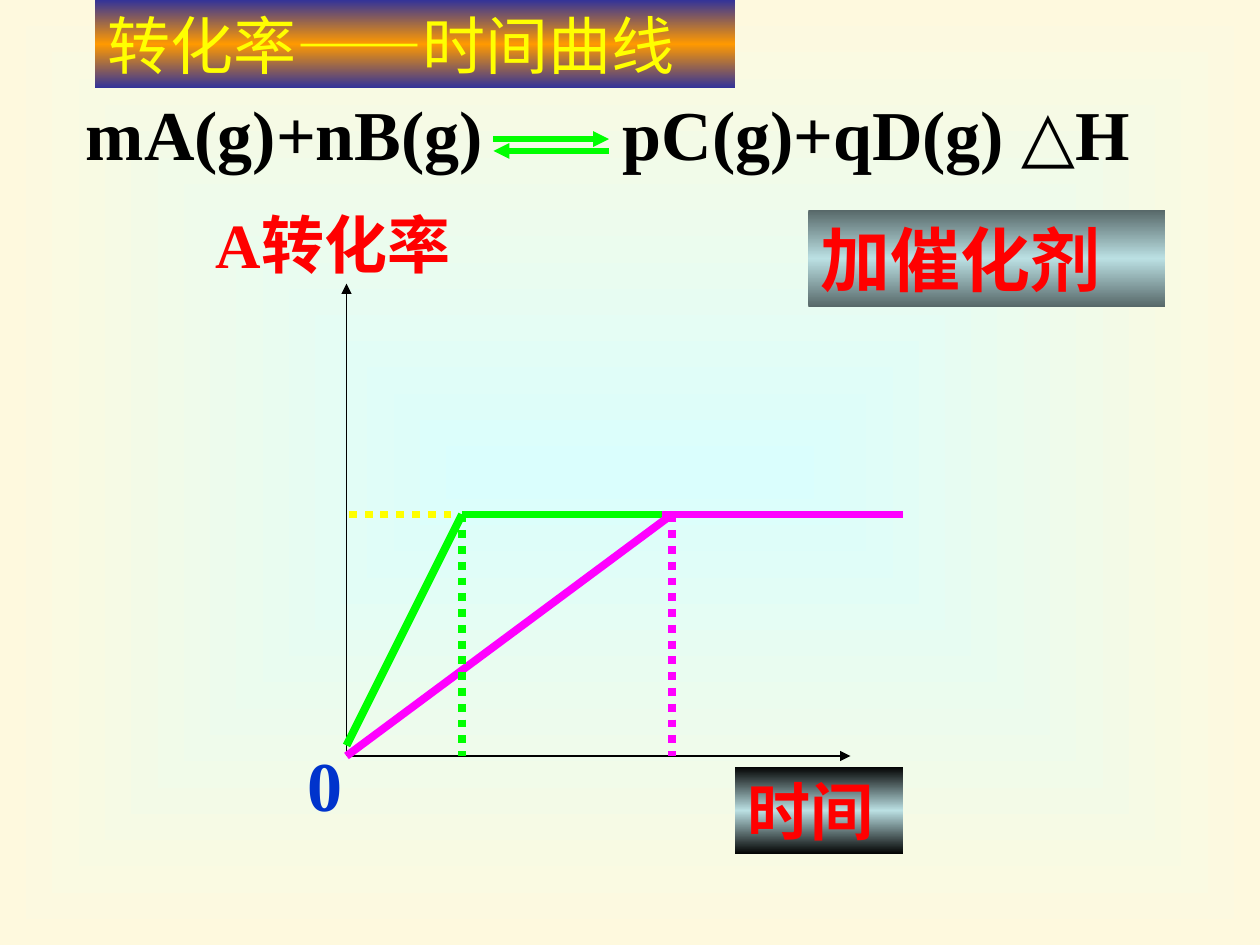
from lxml import etree
from pptx import Presentation
from pptx import util as u
from pptx.dml.color import RGBColor
from pptx.enum import dml, shapes, text
from pptx.oxml.ns import qn

PX = 9525  # EMU in one px, 96 px to the inch
FONT = "Times New Roman"
GREEN, MAGENTA, YELLOW, RED = "00FF00", "FF00FF", "FFFF00", "FF0000"

# Key places of the graph
ORIGIN_X, ORIGIN_Y = 264, 576
PLATEAU_Y = 392
FAST_X, SLOW_X = 352, 512  # time to equilibrium with and without catalyst


def px(*lengths):
    return [u.Emu(length * PX) for length in lengths]


def colour(value):
    return RGBColor.from_string(value)


def sub(parent, tag, **attributes):
    return etree.SubElement(parent, qn(tag), attributes)


def paint_gradient(fill, element, colours, from_centre=False):
    """Evenly spaced stops, top to bottom or from the centre outwards."""
    fill.gradient()
    gradient = next(element.iter(qn("a:gradFill")))
    for child in list(gradient):
        gradient.remove(child)
    stops = sub(gradient, "a:gsLst")
    for i, value in enumerate(colours):
        stop = sub(stops, "a:gs", pos=str(100000 * i // (len(colours) - 1)))
        sub(stop, "a:srgbClr", val=value)
    if from_centre:
        centre = sub(gradient, "a:path", path="rect")
        sub(centre, "a:fillToRect", l="50000", t="50000", r="50000", b="50000")
    else:
        sub(gradient, "a:lin", ang="5400000", scaled="1")


def write(shape, words, size, ink, bold=True, wrap=True, tab=None):
    frame = shape.text_frame
    frame.word_wrap = wrap
    frame.auto_size = text.MSO_AUTO_SIZE.NONE
    frame.vertical_anchor = text.MSO_ANCHOR.TOP
    paragraph = frame.paragraphs[0]
    paragraph.text = words
    paragraph.alignment = text.PP_ALIGN.LEFT
    paragraph.space_before = u.Pt(0)
    paragraph.line_spacing = 1.0
    if tab:
        stops = sub(paragraph._p.get_or_add_pPr(), "a:tabLst")
        sub(stops, "a:tab", pos=str(tab * PX), algn="l")
    font = paragraph.font
    font.name, font.size, font.bold = FONT, u.Pt(size), bold
    font.color.rgb = colour(ink)


def add_label(slide, box, words, size, ink, **layout):
    label = slide.shapes.add_textbox(*px(*box))
    write(label, words, size, ink, **layout)


def add_banner(slide, box, words, size, edge):
    banner = slide.shapes.add_shape(shapes.MSO_SHAPE.RECTANGLE, *px(*box))
    banner.shadow.inherit = False
    banner.line.fill.background()
    paint_gradient(banner.fill, banner.element, (edge, "BBE0E3", edge))
    write(banner, words, size, RED)


def add_title(slide, box, words):
    title = slide.shapes.title
    title.left, title.top, title.width, title.height = px(*box)
    paint_gradient(title.fill, title.element, ("333399", "FF9900", "333399"))
    write(title, words, 36, YELLOW, bold=False)


def add_line(slide, start, end, ink, width=4.5, arrow=False, dotted=False):
    line = slide.shapes.add_connector(
        shapes.MSO_CONNECTOR.STRAIGHT, *px(*start, *end))
    line.line.color.rgb = colour(ink)
    line.line.width = u.Pt(width)
    if dotted:
        line.line.dash_style = dml.MSO_LINE.ROUND_DOT
    if arrow:
        sub(line.line._get_or_add_ln(), "a:tailEnd", type="triangle")
    sub(line.element.spPr, "a:effectLst")


def add_equation(slide):
    add_label(slide, (56, 64, 864, 74), "mA(g)+nB(g)\tpC(g)+qD(g) △H",
              40, "000000", tab=409)
    add_line(slide, (376, 106), (464, 106), GREEN, 3, arrow=True)
    add_line(slide, (464, 115), (376, 115), GREEN, 3, arrow=True)


def add_axes(slide):
    origin = (ORIGIN_X, ORIGIN_Y)
    for tip in ((ORIGIN_X, 216), (648, ORIGIN_Y)):
        add_line(slide, origin, tip, "000000", 0.75, arrow=True)
    add_label(slide, (225, 560, 46, 74), "0", 40, "0033CC", wrap=False)
    add_label(slide, (155, 152, 209, 67), "A转化率", 36, RED, wrap=False)


def add_curves(slide):
    # Rise and plateau, with and without catalyst
    for ink, rise_y, time, plateau_start, plateau_end in (
            (GREEN, 568, FAST_X, FAST_X, SLOW_X),
            (MAGENTA, ORIGIN_Y, SLOW_X, 504, 688)):
        add_line(slide, (ORIGIN_X, rise_y), (time, PLATEAU_Y), ink)
        add_line(slide, (plateau_start, PLATEAU_Y), (plateau_end, PLATEAU_Y), ink)
    # Dotted guides down to the time axis and across to the conversion axis
    for ink, time in ((GREEN, FAST_X), (MAGENTA, SLOW_X)):
        add_line(slide, (time, PLATEAU_Y), (time, ORIGIN_Y), ink, dotted=True)
    add_line(slide, (344, PLATEAU_Y), (ORIGIN_X, PLATEAU_Y), YELLOW, dotted=True)


def main():
    deck = Presentation()
    deck.slide_width, deck.slide_height = px(960, 720)
    slide = deck.slides.add_slide(deck.slide_layouts[5])
    paint_gradient(slide.background.fill, slide.element,
                   ("DAFEFD", "FEF9DE"), from_centre=True)

    # Heading and reaction
    add_title(slide, (72, 0, 488, 67), "转化率——时间曲线")
    add_equation(slide)

    # Graph
    add_axes(slide)
    add_curves(slide)
    add_banner(slide, (560, 584, 128, 67), "时间", 36, "000000")
    add_banner(slide, (616, 160, 272, 74), "加催化剂", 40, "576869")

    deck.save("out.pptx")


if __name__ == "__main__":
    main()
